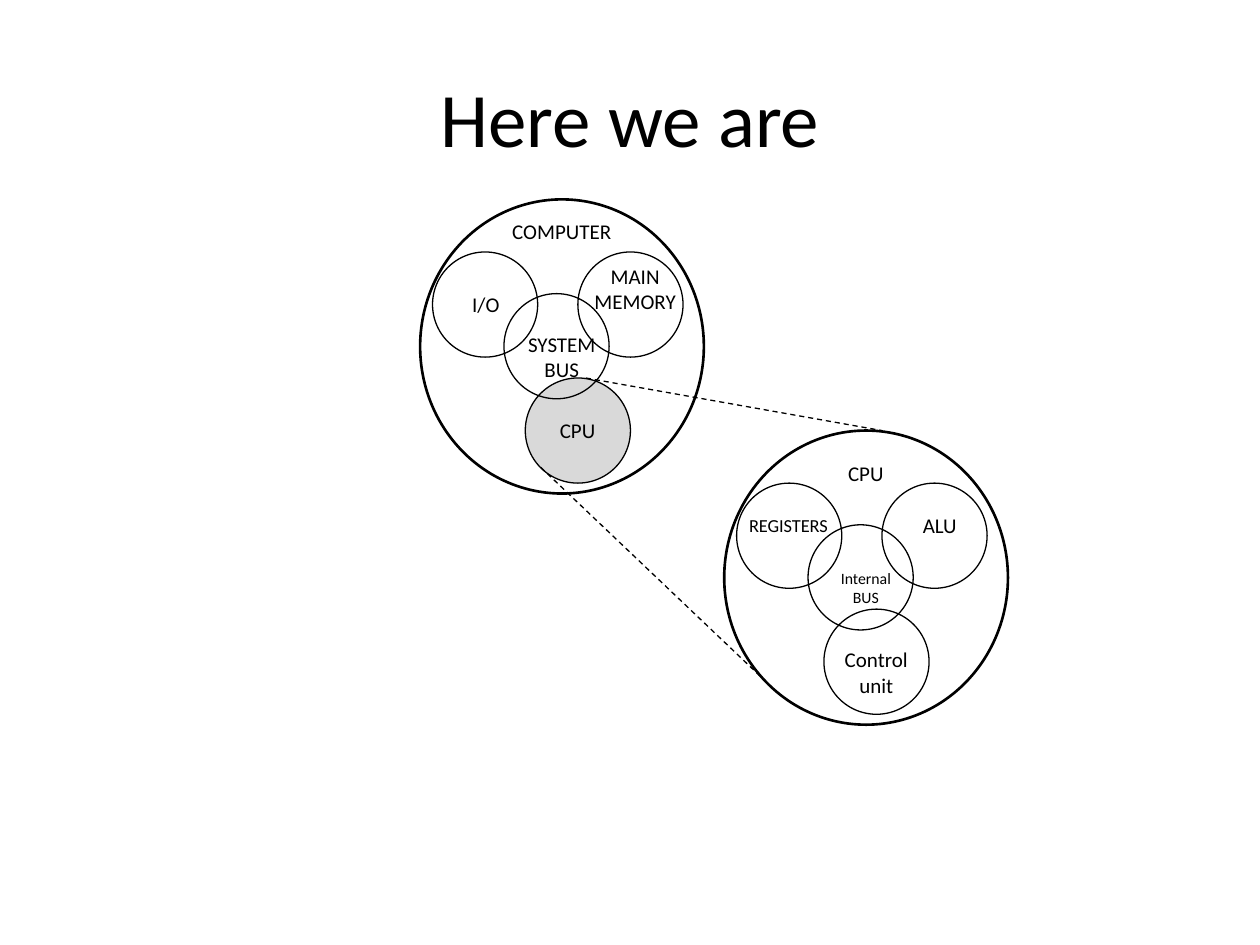
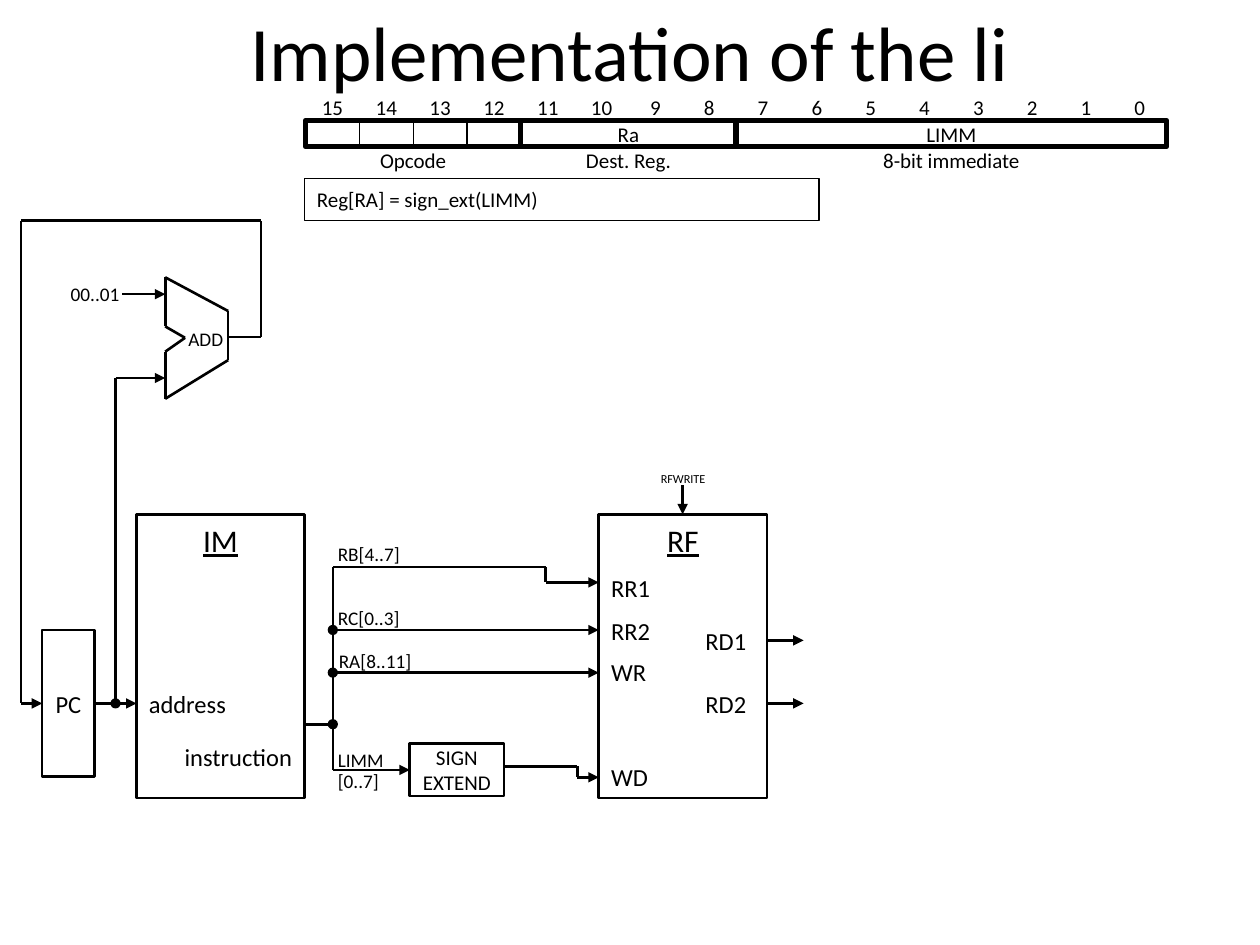
from itertools import pairwise

from lxml import etree
from pptx import Presentation
from pptx.dml.color import RGBColor
from pptx.enum.dml import MSO_LINE
from pptx.enum.shapes import MSO_CONNECTOR, MSO_SHAPE
from pptx.enum.text import MSO_ANCHOR, PP_ALIGN
from pptx.oxml.ns import qn
from pptx.util import Cm, Pt

# Shared look; all positions and lengths are in centimetres
FONT, INK, SHADE = "Calibri", "000000", "D9D9D9"
PAGE_W, PAGE_H = 25.4, 19.05
THIN, MEDIUM, THICK = 0.75, 1.5, 3
ALIGN = {"l": PP_ALIGN.LEFT, "c": PP_ALIGN.CENTER, "r": PP_ALIGN.RIGHT}

# Slide 1: each cluster is a big circle, small circles and labels placed from its origin
CLUSTER_SIZE, PART_SIZE = (5.72, 5.93), 2.12
LABEL_SIZE = (2.75, 0.42)
SIDE_PARTS = [(0.25, 1.06), (3.18, 1.06)]
BUS_PART = (1.69, 1.9)
CLUSTERS = [
    {"origin": (8.47, 4.02), "bottom": (2.12, 3.6), "fill": SHADE,
     "labels": [("COMPUTER", 1.48, 0.42, 12), ("MAIN MEMORY", 2.96, 1.59, 12),
                ("I/O", -0.05, 1.9, 12), ("SYSTEM\nBUS", 1.48, 2.96, 12),
                ("CPU", 1.8, 4.45, 12)]},
    {"origin": (14.6, 8.68), "bottom": (2.01, 3.6), "fill": None,
     "labels": [("CPU", 1.48, 0.64, 12), ("REGISTERS", -0.08, 1.69, 10.5),
                ("Internal\nBUS", 1.48, 2.96, 9), ("Control\nunit", 1.69, 4.66, 12),
                ("ALU", 2.97, 1.69, 12)]},
]
ZOOM_LINES = [[(11.81, 7.62), (17.78, 8.68)], [(10.9, 9.42), (15.44, 13.74)]]

# Slide 2: instruction word, as (text in field, meaning, number of bits)
FIELDS = [("", "Opcode", 4), ("Ra", "Dest. Reg.", 4), ("LIMM", "8-bit immediate", 8)]
WORD_BITS = sum(bits for _, _, bits in FIELDS)
WORD_X, WORD_Y, WORD_W, ROW_H = 6.16, 1.9, 17.36, 0.53
BIT_W = WORD_W / WORD_BITS

# Blocks: text, left, top, width, height, size, is a heading
BLOCKS = [
    ("PC", 0.85, 12.7, 1.06, 2.96, 14, False),
    ("IM", 2.75, 10.37, 3.39, 5.72, 18, True),
    ("RF", 12.07, 10.37, 3.39, 5.72, 18, True),
    ("SIGN EXTEND", 8.26, 14.99, 1.9, 1.06, 12, False),
]
# Port and signal labels: text, left, top, then shared width, height, size, alignment
LABEL_GROUPS = [
    ((2.75, 0.85, 14, "l"), [("address", 2.75, 13.76)]),
    ((2.75, 0.85, 14, "r"), [("instruction", 3.39, 14.82)]),
    ((1.48, 0.85, 14, "l"), [("RR1", 12.07, 11.43), ("RR2", 12.07, 12.28),
                             ("WR", 12.07, 13.12), ("WD", 12.07, 15.24),
                             ("RD1", 13.97, 12.49), ("RD2", 13.97, 13.76)]),
    ((2.43, 0.42, 11, "l"), [("RB[4..7]", 6.56, 10.95), ("RC[0..3]", 6.56, 12.25),
                             ("RA[8..11]", 6.58, 13.11)]),
    ((1.6, 0.42, 11, "l"), [("LIMM", 6.56, 15.11), ("[0..7]", 6.56, 15.54)]),
    ((1.6, 0.42, 11, "c"), [("ADD", 3.35, 6.63)]),
    ((1.6, 0.42, 11, "r"), [("00..01", 1.06, 5.72)]),
    ((1.48, 0.3, 7, "c"), [("RFWRITE", 13.03, 9.5)]),
]
ADDER = [(3.33, 6.58), (3.33, 5.59), (4.6, 6.27), (4.6, 7.26), (3.33, 8.04),
         (3.33, 7.09), (3.73, 6.81), (3.33, 6.58)]
INSTRUCTION_OUT = [(6.14, 14.6), (6.71, 14.6)]
ARROWS = [
    [(1.9, 14.18), (2.75, 14.18)],                                  # PC to IM
    [(2.33, 14.18), (2.33, 7.62), (3.33, 7.62)],                    # PC to adder
    [(2.46, 5.93), (3.33, 5.93)],                                   # step to adder
    [(4.62, 6.79), (5.26, 6.79), (5.26, 4.45), (0.42, 4.45),
     (0.42, 14.18), (0.85, 14.18)],                                 # adder to PC
    [(6.71, 11.43), (11, 11.43), (11, 11.74), (12.07, 11.74)],      # RB to RR1
    [(6.71, 12.7), (12.07, 12.7)],                                  # RC to RR2
    [(6.71, 13.56), (12.07, 13.56)],                                # RA to WR
    [(6.71, 11.43), (6.71, 15.52), (8.26, 15.52)],                  # LIMM to extender
    [(10.16, 15.45), (11.64, 15.45), (11.64, 15.67), (12.07, 15.67)],
    [(15.45, 12.91), (16.2, 12.91)],                                # RD1
    [(15.45, 14.18), (16.2, 14.18)],                                # RD2
    [(13.76, 9.78), (13.76, 10.37)],                                # RFWRITE
]
JUNCTIONS = [(2.33, 14.18), (6.71, 12.7), (6.71, 13.56), (6.71, 14.6)]
DOT = 0.18


def color(hex_code):
    """Turn a hex string into a colour."""
    return RGBColor.from_string(hex_code)


def write(shape, text, size, align="c", anchor=MSO_ANCHOR.MIDDLE, underline=None):
    """Fill a shape with text, one paragraph per line."""
    frame = shape.text_frame
    frame.word_wrap = True
    frame.vertical_anchor = anchor
    frame.margin_left = frame.margin_right = Cm(0.15 if align == "c" else 0.25)
    frame.text = text
    for paragraph in frame.paragraphs:
        paragraph.alignment = ALIGN[align]
        font = paragraph.font if not paragraph.runs else paragraph.runs[0].font
        font.name, font.size, font.underline = FONT, Pt(size), underline
        font.color.rgb = color(INK)


def label(slide, text, x, y, w, h, size, align="c"):
    """Add a text box."""
    write(slide.shapes.add_textbox(Cm(x), Cm(y), Cm(w), Cm(h)), text, size, align)


def outline(slide, kind, x, y, w, h, width=THIN, fill=None):
    """Add an outlined preset shape, hollow unless a fill is given."""
    shape = slide.shapes.add_shape(kind, Cm(x), Cm(y), Cm(w), Cm(h))
    shape.shadow.inherit = False
    if fill:
        shape.fill.solid()
        shape.fill.fore_color.rgb = color(fill)
    else:
        shape.fill.background()
    shape.line.color.rgb = color(INK)
    shape.line.width = Pt(width)
    return shape


def route(slide, points, width=MEDIUM, arrow=False, dashed=False):
    """Join points with straight lines, with an optional arrowhead at the end."""
    for start, end in pairwise(points):
        wire = slide.shapes.add_connector(
            MSO_CONNECTOR.STRAIGHT, *(Cm(v) for v in start + end))
        wire.line.color.rgb = color(INK)
        wire.line.width = Pt(width)
        if dashed:
            wire.line.dash_style = MSO_LINE.DASH
        if arrow and end == points[-1]:
            etree.SubElement(wire.line._get_or_add_ln(), qn("a:tailEnd"), type="triangle")
        etree.SubElement(wire._element.spPr, qn("a:effectLst"))


def new_slide(deck, title, x, y, w, h):
    """Add a blank slide with a title."""
    slide = deck.slides.add_slide(deck.slide_layouts[6])
    label(slide, title, x, y, w, h, 44)
    return slide


def draw_cluster(slide, cluster):
    """Draw a big circle with its parts and labels."""
    left, top = cluster["origin"]
    outline(slide, MSO_SHAPE.OVAL, left, top, *CLUSTER_SIZE, MEDIUM)
    parts = [(part, None) for part in SIDE_PARTS]
    parts += [(cluster["bottom"], cluster["fill"]), (BUS_PART, None)]
    for (x, y), fill in parts:
        outline(slide, MSO_SHAPE.OVAL, left + x, top + y, PART_SIZE, PART_SIZE, fill=fill)
    for text, x, y, size in cluster["labels"]:
        label(slide, text, left + x, top + y, *LABEL_SIZE, size)


def draw_word(slide):
    """Draw the instruction word with bit numbers, fields and meanings."""
    field_y, meaning_y = WORD_Y + ROW_H, WORD_Y + 2 * ROW_H
    for i in range(WORD_BITS):
        x = WORD_X + i * BIT_W
        label(slide, str(WORD_BITS - 1 - i), x, WORD_Y, BIT_W, ROW_H, 12)
        if i < FIELDS[0][2]:
            outline(slide, MSO_SHAPE.RECTANGLE, x, field_y, BIT_W, ROW_H)
    x = WORD_X
    for text, meaning, bits in FIELDS:
        field = outline(slide, MSO_SHAPE.RECTANGLE, x, field_y, bits * BIT_W, ROW_H, THICK)
        if text:
            write(field, text, 12)
        label(slide, meaning, x, meaning_y, bits * BIT_W, ROW_H, 12)
        x += bits * BIT_W


def draw_datapath(slide):
    """Draw the blocks, wires, junctions and labels of the datapath."""
    for text, x, y, w, h, size, heading in BLOCKS:
        block = outline(slide, MSO_SHAPE.RECTANGLE, x, y, w, h, MEDIUM)
        anchor = MSO_ANCHOR.TOP if heading else MSO_ANCHOR.MIDDLE
        write(block, text, size, anchor=anchor, underline=heading)
    for path in (ADDER, INSTRUCTION_OUT):
        route(slide, path)
    for path in ARROWS:
        route(slide, path, arrow=True)
    for x, y in JUNCTIONS:
        outline(slide, MSO_SHAPE.OVAL, x - DOT / 2, y - DOT / 2, DOT, DOT, fill=INK)
    for style, labels in LABEL_GROUPS:
        for text, x, y in labels:
            label(slide, text, x, y, *style)


def main():
    """Build and save the deck."""
    deck = Presentation()
    deck.slide_width, deck.slide_height = Cm(PAGE_W), Cm(PAGE_H)

    overview = new_slide(deck, "Here we are", 1.27, 0.76, 22.86, 3.18)
    for cluster in CLUSTERS:
        draw_cluster(overview, cluster)
    for path in ZOOM_LINES:
        route(overview, path, THIN, dashed=True)

    load = new_slide(deck, "Implementation of the li", 0, 0, PAGE_W, 2.06)
    draw_word(load)
    effect = outline(load, MSO_SHAPE.RECTANGLE, 6.14, 3.6, 10.37, 0.85)
    write(effect, "Reg[RA] = sign_ext(LIMM)", 12, "l")
    draw_datapath(load)

    deck.save("out.pptx")


main()
